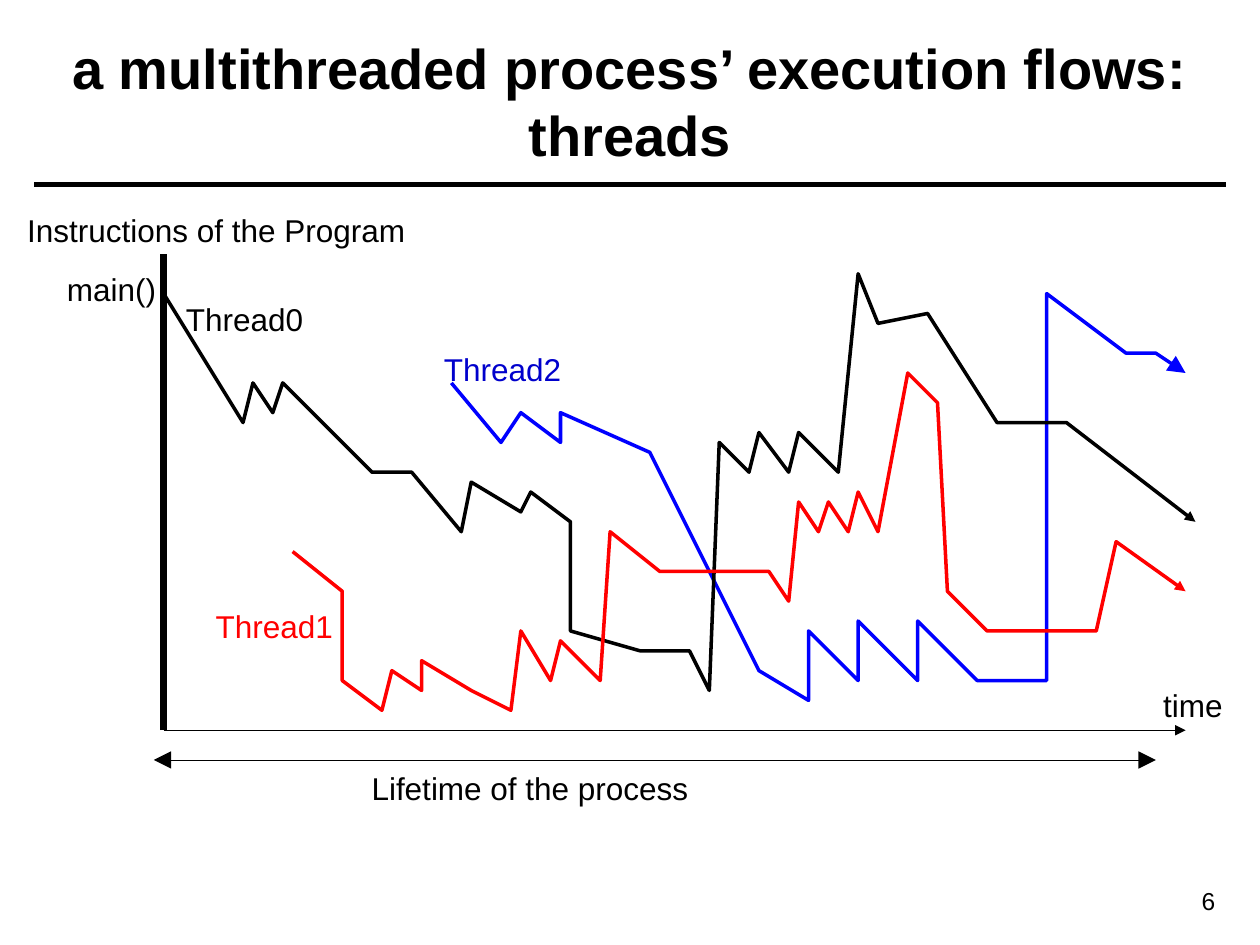
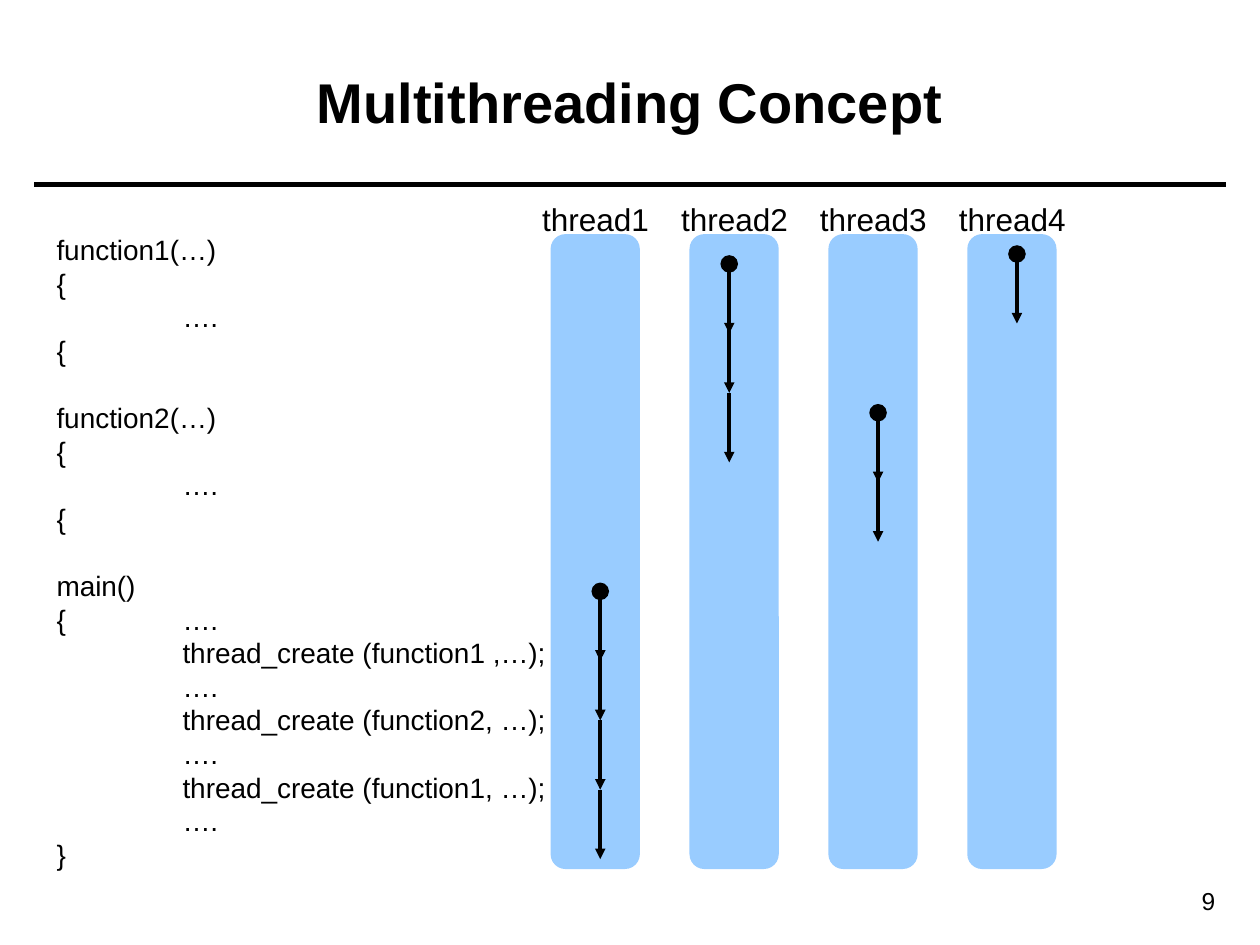
from lxml import etree
from pptx import Presentation
from pptx import util as u
from pptx.dml.color import RGBColor
from pptx.enum import shapes, text
from pptx.oxml.ns import qn

# Every length counts cells of a 2 mm grid: the slide is 127 x 95.25 cells.
CELL = u.Mm(2)
COLUMNS, ROWS = 127, 95.25

FONT = "Arial"
BLACK = RGBColor(0x00, 0x00, 0x00)
RED = RGBColor(0xFF, 0x00, 0x00)
BLUE = RGBColor(0x00, 0x00, 0xFF)
DARK_BLUE = RGBColor(0x00, 0x00, 0xCC)
LANE_BLUE = RGBColor(0x99, 0xCC, 0xFF)

LABEL_HEIGHT = 5.1
CODE_PITCH = u.Pt(19.2)

# Chart of execution flows: points are (time, height) from the foot of the axis.
CHART_LEFT, CHART_BASE = 16.5, 73.6
AXIS_HEIGHT, AXIS_LENGTH = 48, 103
THREAD0 = [(0, 44), (8, 31), (9, 35), (11, 32), (12, 35), (21, 26), (25, 26),
           (30, 20), (31, 25), (36, 22), (37, 24), (41, 21), (41, 10), (48, 8),
           (53, 8), (55, 4), (56, 29), (59, 26), (60, 30), (63, 26), (64, 30),
           (68, 26), (70, 46), (72, 41), (77, 42), (84, 31), (91, 31), (104, 21)]
THREAD1 = [(13, 18), (18, 14), (18, 5), (22, 2), (23, 6), (26, 4), (26, 7),
           (31, 4), (35, 2), (36, 10), (39, 5), (40, 9), (44, 5), (45, 20),
           (50, 16), (61, 16), (63, 13), (64, 23), (66, 20), (67, 23), (69, 20),
           (70, 24), (72, 20), (75, 36), (78, 33), (79, 14), (83, 10), (94, 10),
           (96, 19), (103, 14)]
THREAD2 = [(29, 35), (34, 29), (36, 32), (40, 29), (40, 32), (49, 28), (60, 6),
           (65, 3), (65, 10), (70, 5), (70, 11), (76, 5), (76, 11), (82, 5),
           (89, 5), (89, 44), (97, 38), (100, 38), (103, 36)]

FLOW_LABELS = [
    # text, column, row, width, colour
    ("Instructions of the Program", 1.5, 20.6, 42, BLACK),
    ("time", 116, 68.5, 9.5, BLACK),
    ("Lifetime of the process", 36.2, 76.9, 36, BLACK),
    ("main()", 5.5, 26.6, 12.5, BLACK),
    ("Thread0", 17.5, 29.6, 15.5, BLACK),
    ("Thread1", 20.5, 60.6, 15.5, RED),
    ("Thread2", 43.5, 34.7, 15.5, DARK_BLUE),
]

CODE_BLOCKS = [
    ["function1(…)", "{", "\t….", "{"],
    ["function2(…)", "{", "\t….", "{"],
    ["main()", "{\t….", "\tthread_create (function1 ,…);", "\t….",
     "\tthread_create (function2, …);", "\t….",
     "\tthread_create (function1, …);", "\t….", "}"],
]

LANE_LEFT, LANE_TOP, LANE_PITCH, LANE_WIDTH, LANE_HEIGHT = 55.5, 23.6, 14, 9, 64
STEP_LENGTH, STEP_OVERLAP = 7, 1
LANES = [
    # label, arrow column in the lane, first row, number of steps
    ("thread1", 5, 36, 4),
    ("thread2", 4, 3, 3),
    ("thread3", 5, 18, 2),
    ("thread4", 5, 2, 1),
]


def cells(*counts):
    return [round(count * CELL) for count in counts]


def chart_point(time, height):
    return cells(CHART_LEFT + time, CHART_BASE - height)


def write(para, content, size=18, color=BLACK, bold=False):
    span = para.add_run()
    span.text = content
    span.font.name = FONT
    span.font.size = u.Pt(size)
    span.font.bold = bold
    span.font.color.rgb = color


def add_frame(page, column, row, width, height):
    frame = page.shapes.add_textbox(*cells(column, row, width, height)).text_frame
    frame.word_wrap = True
    return frame


def add_text(page, content, column, row, width, height=LABEL_HEIGHT,
             align=text.PP_ALIGN.LEFT, **look):
    para = add_frame(page, column, row, width, height).paragraphs[0]
    para.alignment = align
    write(para, content, **look)


def style_line(shape, color, width, head=None, tail=None):
    """Ends are (type, size) pairs, such as ("triangle", "med")."""
    shape.line.color.rgb = color
    shape.line.width = u.Pt(width)
    outline = shape.line._get_or_add_ln()
    for tag, end in (("a:headEnd", head), ("a:tailEnd", tail)):
        if end:
            kind, size = end
            etree.SubElement(outline, qn(tag), type=kind, w=size, len=size)


def add_line(page, start, end, width, **ends):
    line = page.shapes.add_connector(shapes.MSO_CONNECTOR.STRAIGHT, *start, *end)
    style_line(line, BLACK, width, **ends)
    etree.SubElement(line._element.spPr, qn("a:effectLst"))


def add_flow(page, points, color, arrow_size="med"):
    start, *rest = [chart_point(*point) for point in points]
    builder = page.shapes.build_freeform(*start)
    builder.add_line_segments(rest, close=False)
    flow = builder.convert_to_shape()
    flow.shadow.inherit = False
    flow.fill.background()
    style_line(flow, color, 2, tail=("triangle", arrow_size))


def add_code(page, blocks, column, row, width, height):
    frame = add_frame(page, column, row, width, height)
    para = frame.paragraphs[0]
    for number, block in enumerate(blocks):
        for index, code in enumerate(block):
            if number or index:
                para = frame.add_paragraph()
            para.line_spacing = CODE_PITCH
            if number and index == 0:
                para.space_before = CODE_PITCH
            tabs = etree.SubElement(para._p.get_or_add_pPr(), qn("a:tabLst"))
            etree.SubElement(tabs, qn("a:tab"), pos=str(u.Inches(1)), algn="l")
            write(para, code, size=16)


def add_lane(page, index):
    left = LANE_LEFT + index * LANE_PITCH
    lane = page.shapes.add_shape(
        shapes.MSO_SHAPE.ROUNDED_RECTANGLE,
        *cells(left, LANE_TOP, LANE_WIDTH, LANE_HEIGHT))
    lane.shadow.inherit = False
    lane.fill.solid()
    lane.fill.fore_color.rgb = LANE_BLUE
    lane.line.fill.background()


def add_steps(page, index, column, first_row, count):
    """Chain arrows down a lane; the second one starts inside the first."""
    x = LANE_LEFT + index * LANE_PITCH + column
    for step in range(count):
        y = LANE_TOP + first_row + step * STEP_LENGTH - (STEP_OVERLAP if step else 0)
        add_line(page, cells(x, y), cells(x, y + STEP_LENGTH), 2,
                 head=None if step else ("oval", "lg"), tail=("triangle", "med"))


def add_page(deck, title, number):
    page = deck.slides.add_slide(deck.slide_layouts.get_by_name("Title Only"))
    heading = page.shapes.title
    heading.left, heading.top, heading.width, heading.height = cells(4.5, 2.2, 118, 15.9)
    frame = heading.text_frame
    frame.auto_size = text.MSO_AUTO_SIZE.NONE
    frame.vertical_anchor = text.MSO_ANCHOR.MIDDLE
    para = frame.paragraphs[0]
    para.alignment = text.PP_ALIGN.CENTER
    write(para, title, size=32, bold=True)
    add_line(page, cells(3.45, 18.6), cells(COLUMNS - 3.45, 18.6), 3)
    add_text(page, number, 110.55, 88.65, 13.2, 4.3,
             align=text.PP_ALIGN.RIGHT, size=14)
    return page


def build_flows(deck):
    page = add_page(deck, "a multithreaded process’ execution flows: threads", "6")
    add_line(page, chart_point(0, 0), chart_point(AXIS_LENGTH, 0), 0.25,
             tail=("triangle", "med"))
    add_line(page, chart_point(0, 0), chart_point(0, AXIS_HEIGHT), 4)
    add_line(page, chart_point(-1, -3), chart_point(100, -3), 0.25,
             head=("triangle", "lg"), tail=("triangle", "lg"))
    add_flow(page, THREAD2, BLUE, arrow_size="lg")
    for label, column, row, width, color in FLOW_LABELS:
        add_text(page, label, column, row, width, color=color)
    add_flow(page, THREAD0, BLACK)
    add_flow(page, THREAD1, RED)


def build_concept(deck):
    page = add_page(deck, "Multithreading Concept", "9")
    for index in range(len(LANES)):
        add_lane(page, index)
    add_code(page, CODE_BLOCKS, 4.45, 22.85, 57.4, 65.7)
    for index, (label, column, first_row, count) in enumerate(LANES):
        add_steps(page, index, column, first_row, count)
        add_text(page, label, LANE_LEFT - 2.1 + index * LANE_PITCH, 19.55, 14)


def main():
    deck = Presentation()
    deck.slide_width, deck.slide_height = cells(COLUMNS, ROWS)
    build_flows(deck)
    build_concept(deck)
    deck.save("out.pptx")


if __name__ == "__main__":
    main()
